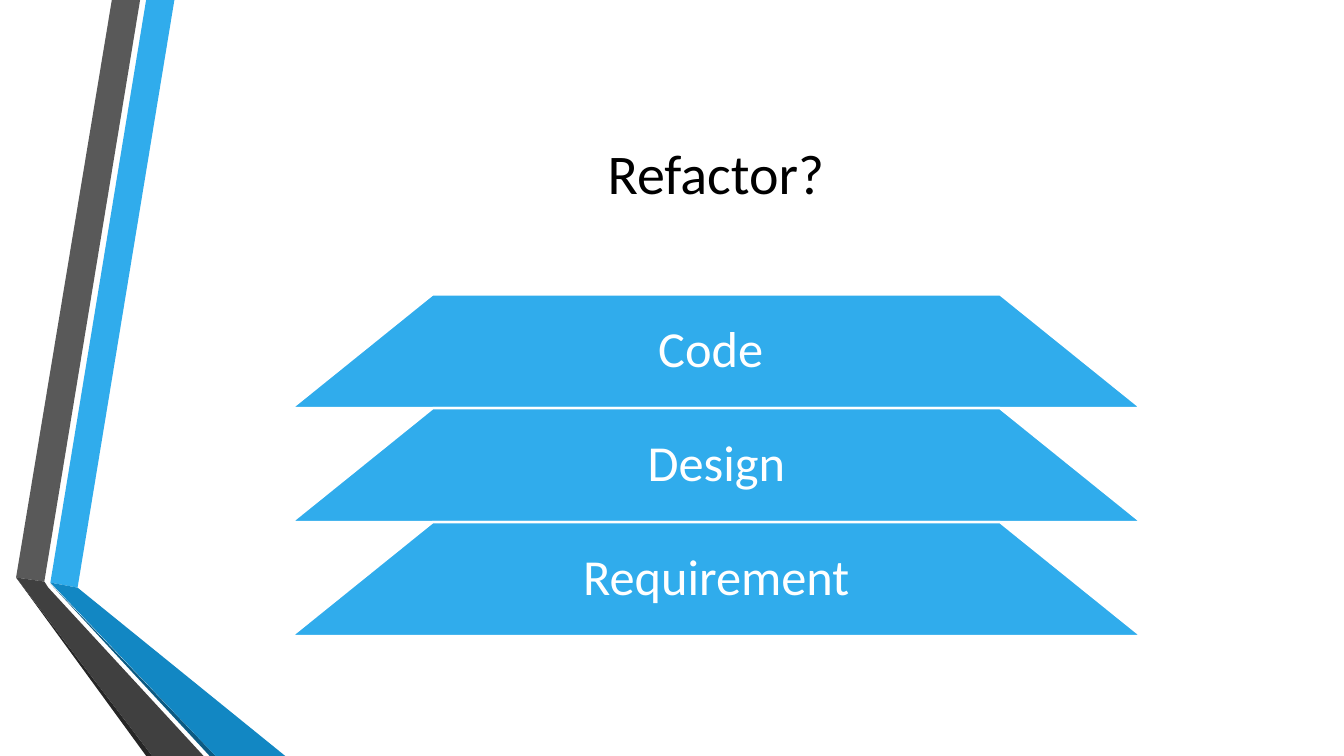
from dataclasses import dataclass

from pptx import Presentation
from pptx.dml.color import RGBColor as Rgb
from pptx.enum.shapes import MSO_SHAPE as Kind
from pptx.enum.text import MSO_ANCHOR as Anchor, PP_ALIGN as Align
from pptx.util import Inches, Pt


@dataclass(frozen=True)
class Theme:
    font: str = "Calibri"
    title: int = 40
    label: int = 36
    edge: float = 1.75
    black: str = "000000"
    white: str = "FFFFFF"
    blue: str = "30ACEC"
    mid_blue: str = "1287C3"
    deep_blue: str = "0C5A82"
    gray: str = "595959"
    dark: str = "404040"
    deep: str = "262626"


THEME = Theme()
WIDE, HIGH = 13.33, 7.5

# Stack of layers: left edge, top edge, layer width and row height
LEFT, TOP, SPAN, ROW = 2.89, 2.92, 8.43, 1.13
SLANT = 1.24
LAYERS = ("Code ", "Design", "Requirement")

# Ribbon bands: colour and corner points in inches
BANDS = (
    (THEME.blue, [(0.5, 5.78), (0.77, 5.83), (1.73, 0), (1.45, 0)]),
    (THEME.gray, [(1.39, 0), (1.11, 0), (0.16, 5.73), (0.44, 5.77)]),
    (THEME.deep, [(0.16, 5.73), (1.45, HIGH), (1.51, HIGH)]),
    (THEME.deep_blue, [(0.5, 5.79), (2.08, HIGH), (2.14, HIGH)]),
    (THEME.mid_blue, [(0.5, 5.78), (2.14, HIGH), (2.83, HIGH), (0.77, 5.83)]),
    (THEME.dark, [(2.02, HIGH), (0.48, 5.83), (0.44, 5.77), (0.16, 5.73),
                  (1.51, HIGH)]),
)


def box(*sides):
    return [Inches(side) for side in sides]


def paint(shape, fill, line=None):
    shape.shadow.inherit = False
    shape.fill.solid()
    shape.fill.fore_color.rgb = Rgb.from_string(fill)
    if line:
        shape.line.color.rgb = Rgb.from_string(line)
        shape.line.width = Pt(THEME.edge)
    else:
        shape.line.fill.background()


def write(shape, text, size, color, inset=None, space=1.0):
    frame = shape.text_frame
    frame.word_wrap = True
    frame.vertical_anchor = Anchor.MIDDLE
    if inset is not None:
        frame.margin_left = frame.margin_right = Inches(inset)
        frame.margin_top = frame.margin_bottom = Inches(inset)
    para = frame.paragraphs[0]
    para.alignment = Align.CENTER
    para.line_spacing = space
    run = para.add_run()
    run.text = text
    run.font.name = THEME.font
    run.font.size = Pt(size)
    run.font.color.rgb = Rgb.from_string(color)


def add_band(slide, color, points):
    start, *rest = [box(*point) for point in points]
    pen = slide.shapes.build_freeform(*start)
    pen.add_line_segments(rest, close=True)
    paint(pen.convert_to_shape(), color)


def add_title(slide, text):
    title = slide.shapes.title
    title.left, title.top, title.width, title.height = box(
        1.62, HIGH * 0.1, 10.96, 1.92)
    write(title, text, THEME.title, THEME.black)


def add_layer(slide, row, text):
    area = box(LEFT, TOP + row * ROW, SPAN, ROW)
    slab = slide.shapes.add_shape(Kind.TRAPEZOID, *area)
    slab.adjustments[0] = SLANT
    paint(slab, THEME.blue, THEME.white)
    label = slide.shapes.add_textbox(*area)
    write(label, text, THEME.label, THEME.white, inset=0.05, space=0.9)


def main():
    deck = Presentation()
    deck.slide_width, deck.slide_height = box(WIDE, HIGH)
    slide = deck.slides.add_slide(deck.slide_layouts[5])

    # Folded ribbon on the left
    for color, points in BANDS:
        add_band(slide, color, points)

    # Title and stacked layers
    add_title(slide, "Refactor?")
    for row, text in enumerate(LAYERS):
        add_layer(slide, row, text)

    deck.save("out.pptx")


main()
